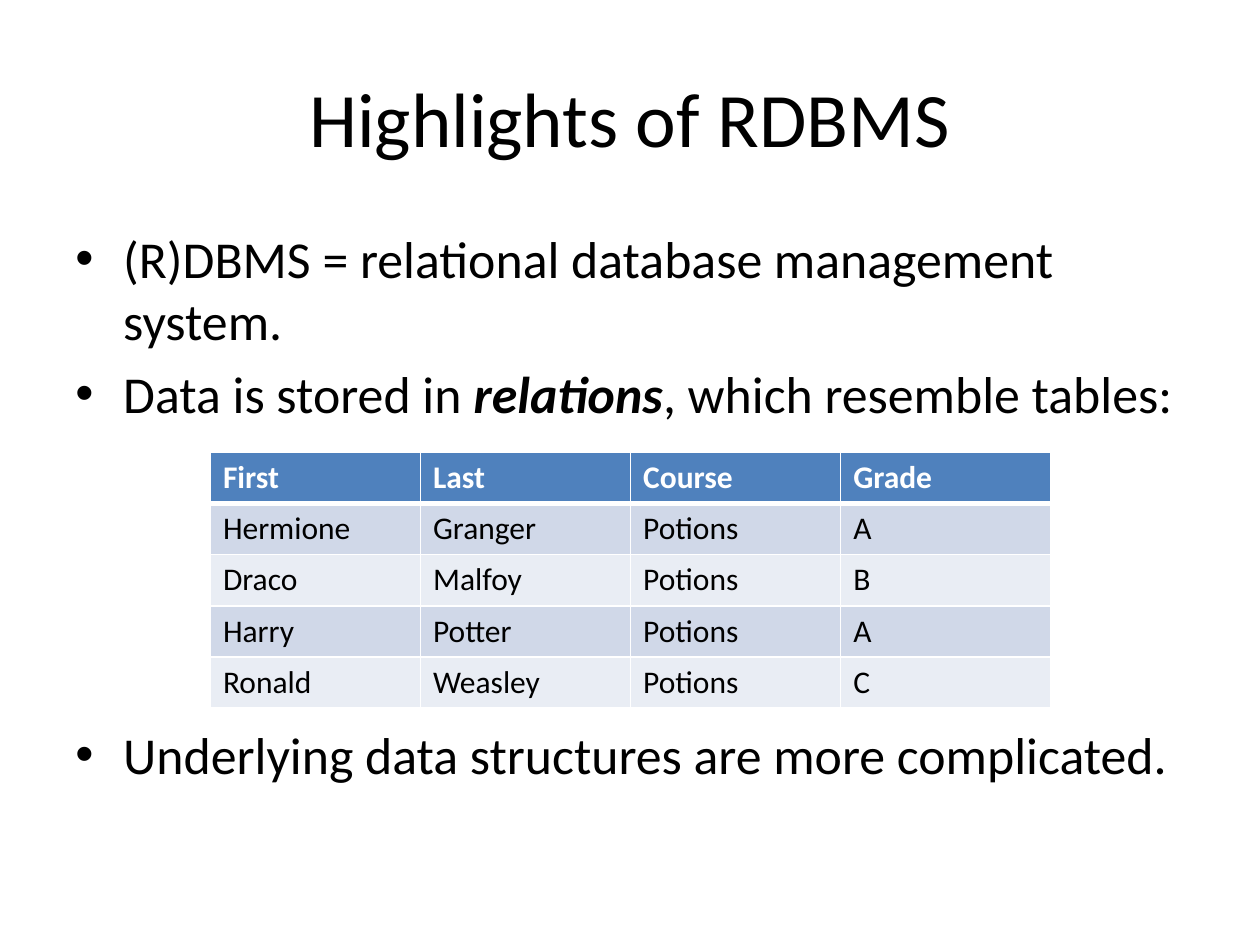
from dataclasses import dataclass

import pptx
import pptx.dml.color
import pptx.enum.text
import pptx.oxml
import pptx.oxml.ns
import pptx.util
from pptx.util import Inches

RGB = pptx.dml.color.RGBColor.from_string
Pt = pptx.util.Pt


@dataclass(frozen=True)
class Theme:
    font: str = "Calibri"
    text: str = "000000"
    white: str = "FFFFFF"
    header: str = "4F81BD"
    bands: tuple[str, str] = ("D0D8E8", "E9EDF4")
    title_size: float = 44
    body_size: float = 29.6
    table_size: float = 18
    border: float = 1
    header_border: float = 3


@dataclass(frozen=True)
class Run:
    text: str
    emphasis: bool = False


@dataclass(frozen=True)
class Bullet:
    runs: tuple[Run, ...]
    space_before: float = 0


THEME = Theme()
TABLE_GAP = 170.7  # points left between the bullets for the table
BULLETS = (
    Bullet((Run("(R)DBMS = relational database management system."),)),
    Bullet((Run("Data is stored in "), Run("relations", True),
            Run(", which resemble tables:")), 5.9),
    Bullet((Run("Underlying data structures are more complicated."),), TABLE_GAP),
)
GRADES = (
    ("First", "Last", "Course", "Grade"),
    ("Hermione", "Granger", "Potions", "A"),
    ("Draco", "Malfoy", "Potions", "B"),
    ("Harry", "Potter", "Potions", "A"),
    ("Ronald", "Weasley", "Potions", "C"),
)


def style(font: pptx.text.text.Font, size: float, color: str, bold: bool = False) -> None:
    font.name = THEME.font
    font.size = Pt(size)
    font.bold = bold
    font.color.rgb = RGB(color)


def add_title(s: pptx.slide.Slide, text: str) -> None:
    tf = s.shapes.add_textbox(Inches(0.5), Inches(0.3), Inches(9), Inches(1.25)).text_frame
    tf.word_wrap = True
    tf.vertical_anchor = pptx.enum.text.MSO_ANCHOR.MIDDLE
    tf.text = text
    p = tf.paragraphs[0]
    p.alignment = pptx.enum.text.PP_ALIGN.CENTER
    style(p.runs[0].font, THEME.title_size, THEME.text)


def set_bullet(p: pptx.text.text._Paragraph) -> None:
    """Give the paragraph a round bullet with a hanging indent."""
    pPr = p._p.get_or_add_pPr()
    indent = Inches(0.38)
    pPr.set("marL", str(indent))
    pPr.set("indent", str(-indent))
    ns = pptx.oxml.ns.nsdecls("a")
    pPr.append(pptx.oxml.parse_xml(f'<a:buFont {ns} typeface="Arial"/>'))
    pPr.append(pptx.oxml.parse_xml(f'<a:buChar {ns} char="•"/>'))


def add_bullets(s: pptx.slide.Slide, bullets: tuple[Bullet, ...]) -> None:
    tf = s.shapes.add_textbox(Inches(0.5), Inches(1.75), Inches(9.23), Inches(4.95)).text_frame
    tf.word_wrap = True
    for i, bullet in enumerate(bullets):
        p = tf.add_paragraph() if i else tf.paragraphs[0]
        set_bullet(p)
        p.space_before = Pt(bullet.space_before)
        for run in bullet.runs:
            r = p.add_run()
            r.text = run.text
            style(r.font, THEME.body_size, THEME.text, run.emphasis)
            r.font.italic = run.emphasis


def set_borders(cell: pptx.table._Cell, top: float, bottom: float) -> None:
    tcPr = cell._tc.get_or_add_tcPr()
    sides = {"lnL": THEME.border, "lnR": THEME.border, "lnT": top, "lnB": bottom}
    for i, (tag, width) in enumerate(sides.items()):
        tcPr.insert(i, pptx.oxml.parse_xml(
            f'<a:{tag} {pptx.oxml.ns.nsdecls("a")} w="{Pt(width)}"><a:solidFill>'
            f'<a:srgbClr val="{THEME.white}"/></a:solidFill></a:{tag}>'))


def add_grades(s: pptx.slide.Slide, rows: tuple[tuple[str, ...], ...]) -> None:
    table = s.shapes.add_table(len(rows), len(rows[0]), Inches(1.67), Inches(3.59),
                               Inches(6.67), Inches(2.03)).table
    for i, row in enumerate(rows):
        is_header = i == 0
        fill = THEME.header if is_header else THEME.bands[(i - 1) % 2]
        color = THEME.white if is_header else THEME.text
        top = THEME.header_border if i == 1 else THEME.border
        bottom = THEME.header_border if is_header else THEME.border
        for j, text in enumerate(row):
            cell = table.cell(i, j)
            cell.text_frame.text = text
            style(cell.text_frame.paragraphs[0].runs[0].font, THEME.table_size, color, is_header)
            cell.fill.solid()
            cell.fill.fore_color.rgb = RGB(fill)
            set_borders(cell, top, bottom)


def main() -> None:
    prs = pptx.Presentation()
    prs.slide_width, prs.slide_height = Inches(10), Inches(7.5)
    s = prs.slides.add_slide(prs.slide_layouts[6])
    add_title(s, "Highlights of RDBMS")
    add_bullets(s, BULLETS)
    add_grades(s, GRADES)
    prs.save("out.pptx")


if __name__ == "__main__":
    main()
